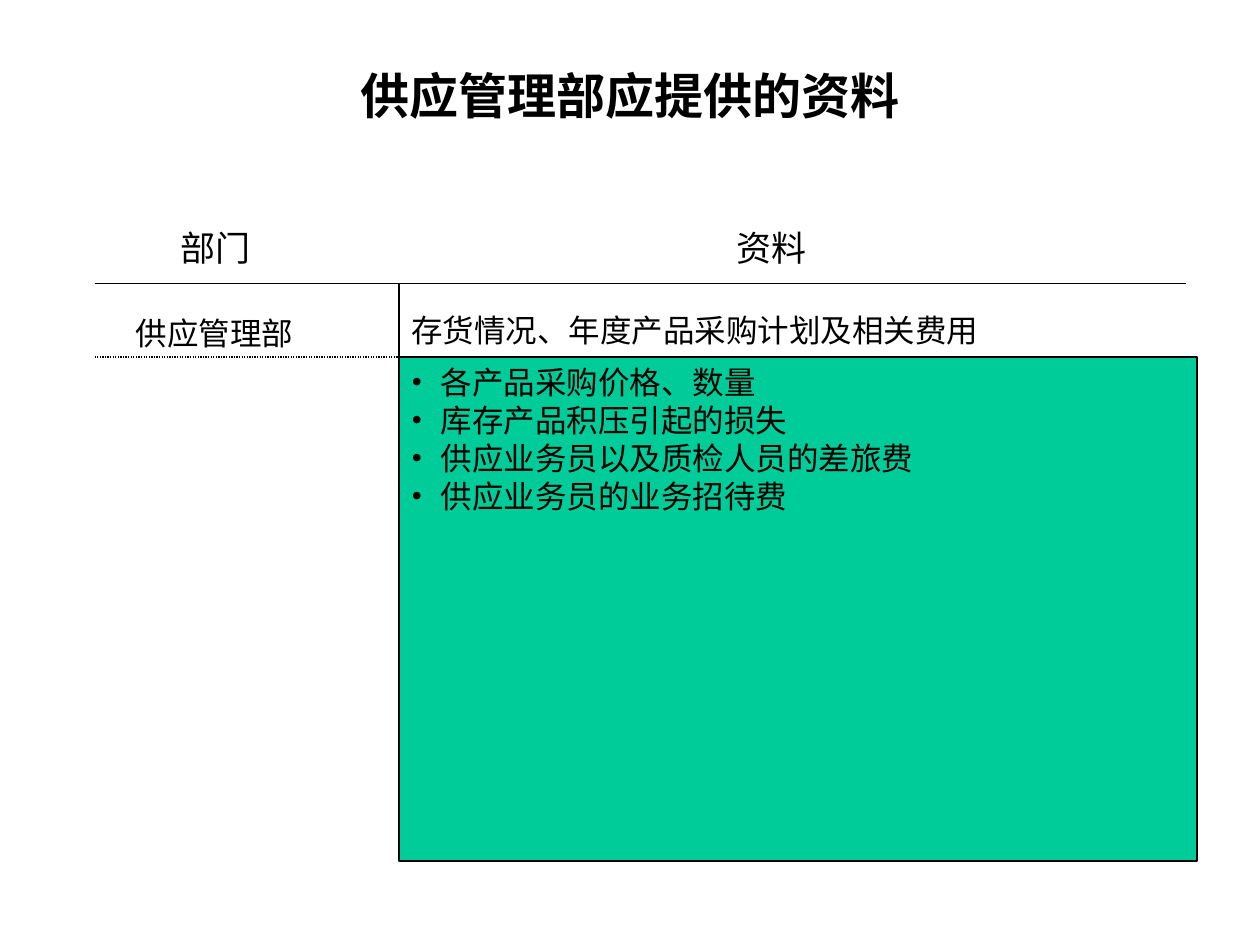
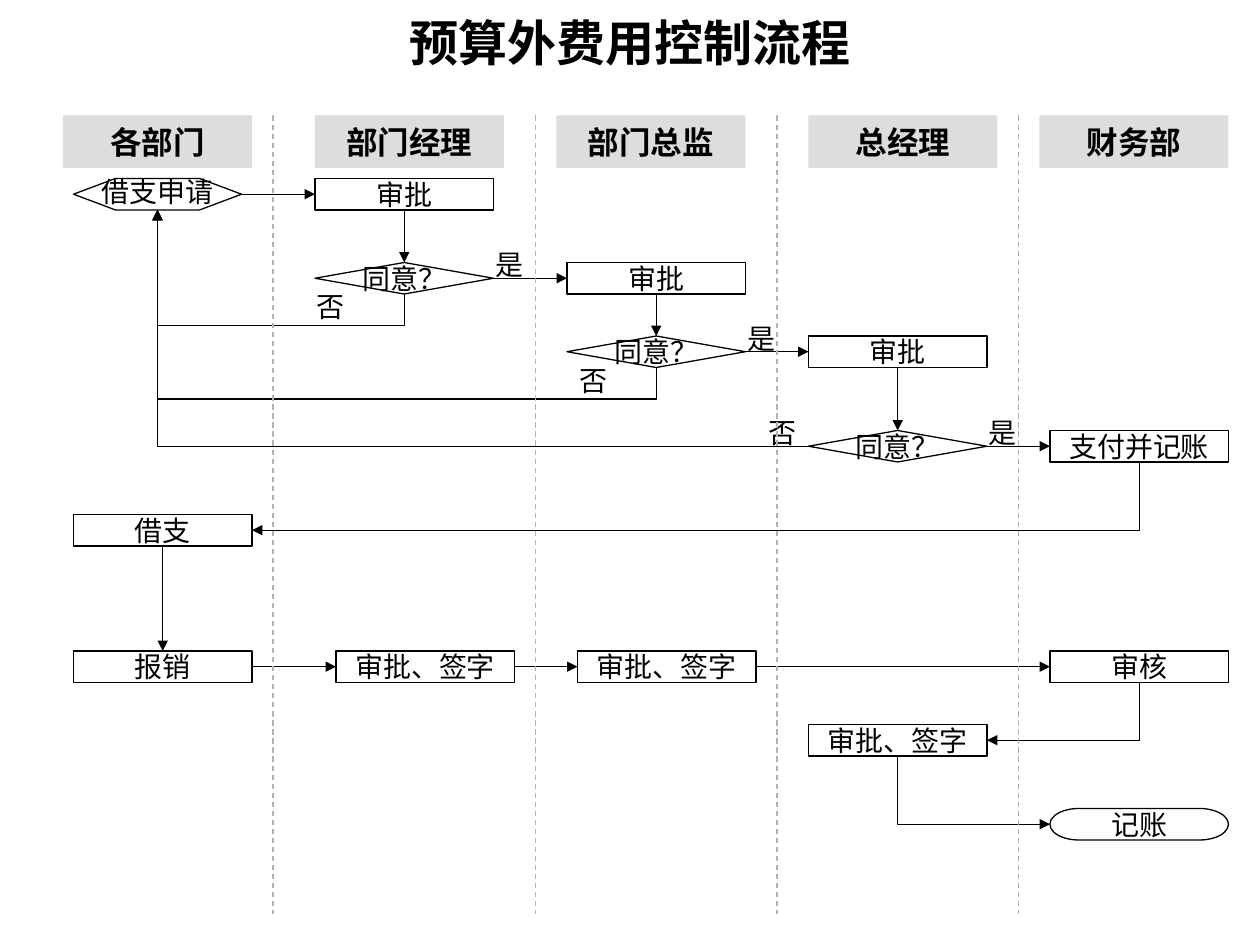
from lxml.etree import SubElement
from pptx import Presentation
from pptx.dml.color import RGBColor
from pptx.enum.dml import MSO_LINE as Dash
from pptx.enum.shapes import MSO_CONNECTOR as Link, MSO_SHAPE as Preset
from pptx.enum.text import MSO_ANCHOR as Anchor, MSO_AUTO_SIZE as AutoSize, PP_ALIGN as Align
from pptx.oxml.ns import qn
from pptx.util import Pt

FONT = "Times New Roman"
BLACK = "000000"
WHITE = "FFFFFF"
GREEN = "00CC99"
HEADER_GREY = "DDDDDD"
DIVIDER_GREY = "B2B2B2"
BULLET_INDENT = 16.8


def paint(fill, colour):
    fill.solid()
    fill.fore_color.rgb = RGBColor.from_string(colour)


def write(shape, text, size=16, bold=False, align=Align.CENTER, anchor=Anchor.MIDDLE,
          wrap=False, spacing=None, bullet=None):
    frame = shape.text_frame
    frame.text = text
    frame.auto_size = AutoSize.NONE
    frame.word_wrap = wrap
    frame.vertical_anchor = anchor
    for paragraph in frame.paragraphs:
        paragraph.alignment = align
        if spacing:
            paragraph.line_spacing = spacing
        if bullet:
            properties = paragraph._p.get_or_add_pPr()
            properties.set("marL", str(Pt(BULLET_INDENT)))
            properties.set("indent", str(-Pt(BULLET_INDENT)))
            SubElement(properties, qn("a:buFont"), typeface=FONT)
            SubElement(properties, qn("a:buChar"), char=bullet)
        for run in paragraph.runs:
            run.font.name = FONT
            run.font.size = Pt(size)
            run.font.bold = bold
            paint(run.font.fill, BLACK)


presentation = Presentation()
presentation.slide_width = Pt(720)
presentation.slide_height = Pt(540)

slides = []
for text, top, height in [("供应管理部应提供的资料", 30, 48), ("预算外费用控制流程", 6, 36)]:
    slide = presentation.slides.add_slide(presentation.slide_layouts[5])
    title = slide.shapes.title
    title.left, title.top, title.width, title.height = Pt(54), Pt(top), Pt(612), Pt(height)
    write(title, text, size=28, bold=True, wrap=True)
    slides.append(slide)
materials, process = slides
connectors = []

for x1, y1, x2, y2, dash in [(54, 204, 678, 204, Dash.ROUND_DOT),
                             (228, 162, 228, 492, None),
                             (54, 162, 678, 162, None)]:
    connector = materials.shapes.add_connector(Link.STRAIGHT, Pt(x1), Pt(y1), Pt(x2), Pt(y2))
    connectors.append((connector, BLACK, dash, False))

for text, left, top, width, height, size in [
    ("部门", 96, 126, 54.4, 31.2, 20),
    ("资料", 414, 126, 54.4, 31.2, 20),
    ("供应管理部", 70.5, 176, 104.4, 28.8, 18),
    ("存货情况、年度产品采购计划及相关费用", 228, 174, 338.4, 28.8, 18),
]:
    box = materials.shapes.add_textbox(Pt(left), Pt(top), Pt(width), Pt(height))
    write(box, text, size=size, align=Align.LEFT, anchor=Anchor.TOP)

details = materials.shapes.add_shape(Preset.RECTANGLE, Pt(228), Pt(204), Pt(456), Pt(288))
details.shadow.inherit = False
paint(details.fill, GREEN)
paint(details.line.fill, BLACK)
details.line.width = Pt(0.75)
write(details, "各产品采购价格、数量\n库存产品积压引起的损失\n供应业务员以及质检人员的差旅费\n供应业务员的业务招待费",
      size=18, align=Align.LEFT, anchor=Anchor.TOP, wrap=True, bullet="•")

for text, left in [("各部门", 36), ("部门经理", 180), ("部门总监", 318),
                   ("总经理", 462), ("财务部", 594)]:
    header = process.shapes.add_shape(Preset.RECTANGLE, Pt(left), Pt(66), Pt(108), Pt(30))
    header.shadow.inherit = False
    paint(header.fill, HEADER_GREY)
    header.line.fill.background()
    write(header, text, size=18, bold=True)

steps = {}
for name, text, preset, left, top in [
    ("request", "借支申请", Preset.HEXAGON, 42, 102),
    ("manager", "审批", Preset.RECTANGLE, 180, 102),
    ("manager agrees", "同意？", Preset.DIAMOND, 180, 150),
    ("director", "审批", Preset.RECTANGLE, 324, 150),
    ("director agrees", "同意？", Preset.DIAMOND, 324, 192),
    ("general", "审批", Preset.RECTANGLE, 462, 192),
    ("general agrees", "同意？", Preset.DIAMOND, 462, 246),
    ("pay", "支付并记账", Preset.RECTANGLE, 600, 246),
    ("borrow", "借支", Preset.RECTANGLE, 42, 294),
    ("claim", "报销", Preset.RECTANGLE, 42, 372),
    ("manager signs", "审批、签字", Preset.RECTANGLE, 192, 372),
    ("director signs", "审批、签字", Preset.RECTANGLE, 330, 372),
    ("audit", "审核", Preset.RECTANGLE, 600, 372),
    ("general signs", "审批、签字", Preset.RECTANGLE, 462, 414),
    ("record", "记账", Preset.FLOWCHART_TERMINATOR, 600, 462),
]:
    step = process.shapes.add_shape(preset, Pt(left), Pt(top), Pt(102), Pt(18))
    step.shadow.inherit = False
    paint(step.fill, WHITE)
    paint(step.line.fill, BLACK)
    step.line.width = Pt(0.75)
    write(step, text, spacing=0.8 if preset == Preset.HEXAGON else None)
    steps[name] = step
steps["request"].width = Pt(96)
steps["request"].adjustments[0] = 1.33

for text, left, top in [("是", 276, 138), ("是", 420, 180), ("是", 558, 234),
                        ("否", 174, 162), ("否", 324, 204), ("否", 432, 234)]:
    label = process.shapes.add_textbox(Pt(left), Pt(top), Pt(30), Pt(26.4))
    write(label, text, align=Align.LEFT, anchor=Anchor.TOP, wrap=True)

connector = process.shapes.add_connector(Link.STRAIGHT, Pt(138), Pt(111), Pt(180), Pt(111))
connector.end_connect(steps["manager"], 1)
connectors.append((connector, BLACK, None, True))

TOP, LEFT, BOTTOM, RIGHT = range(4)
for start, start_side, end, end_side in [
    ("manager", BOTTOM, "manager agrees", TOP),
    ("manager agrees", RIGHT, "director", LEFT),
    ("director", BOTTOM, "director agrees", TOP),
    ("director agrees", RIGHT, "general", LEFT),
    ("general", BOTTOM, "general agrees", TOP),
    ("general agrees", RIGHT, "pay", LEFT),
    ("borrow", BOTTOM, "claim", TOP),
    ("claim", RIGHT, "manager signs", LEFT),
    ("manager signs", RIGHT, "director signs", LEFT),
    ("director signs", RIGHT, "audit", LEFT),
]:
    connector = process.shapes.add_connector(Link.STRAIGHT, 0, 0, 0, 0)
    connector.begin_connect(steps[start], start_side)
    connector.end_connect(steps[end], end_side)
    connectors.append((connector, BLACK, None, True))

for x1, y1, x2, y2, rotation, flip, bend in [
    (231, 168, 90, 120, 270, "flipV", -37500),
    (375, 210, 90, 120, 270, "flipV", -20000),
    (462, 255, 90, 120, 180, None, None),
    (651, 264, 144, 303, 90, None, None),
    (651, 390, 564, 423, 90, None, None),
    (513, 432, 600, 471, 270, "flipH", None),
]:
    width, height = abs(x2 - x1), abs(y2 - y1)
    if rotation != 180:
        width, height = height, width
    left, top = (x1 + x2 - width) / 2, (y1 + y2 - height) / 2
    connector = process.shapes.add_connector(
        Link.ELBOW, Pt(left), Pt(top), Pt(left + width), Pt(top + height))
    properties = connector._element.spPr
    transform = properties.find(qn("a:xfrm"))
    transform.set("rot", str(rotation * 60000))
    if flip:
        transform.set(flip, "1")
    geometry = properties.find(qn("a:prstGeom"))
    if bend:
        SubElement(geometry.find(qn("a:avLst")), qn("a:gd"), name="adj1", fmla=f"val {bend}")
    else:
        geometry.set("prst", "bentConnector2")
    connectors.append((connector, BLACK, None, True))

for x in (156, 306, 444, 582):
    connector = process.shapes.add_connector(Link.STRAIGHT, Pt(x), Pt(66), Pt(x), Pt(522))
    connectors.append((connector, DIVIDER_GREY, Dash.DASH, False))

for connector, colour, dash, arrow in connectors:
    paint(connector.line.fill, colour)
    connector.line.width = Pt(0.75)
    if dash:
        connector.line.dash_style = dash
    if arrow:
        SubElement(connector.line._get_or_add_ln(), qn("a:tailEnd"), type="triangle")
    SubElement(connector._element.spPr, qn("a:effectLst"))

presentation.save("out.pptx")
